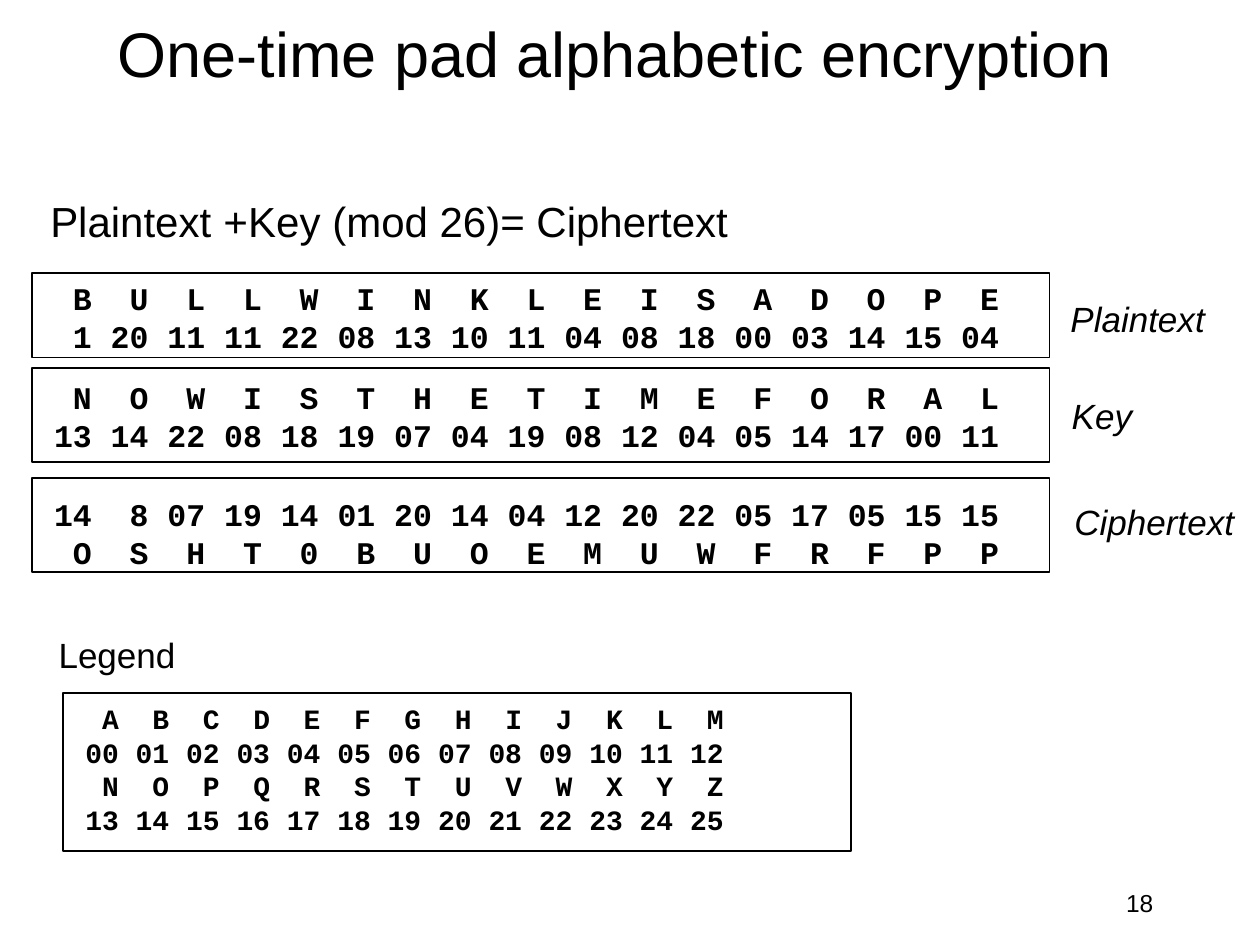
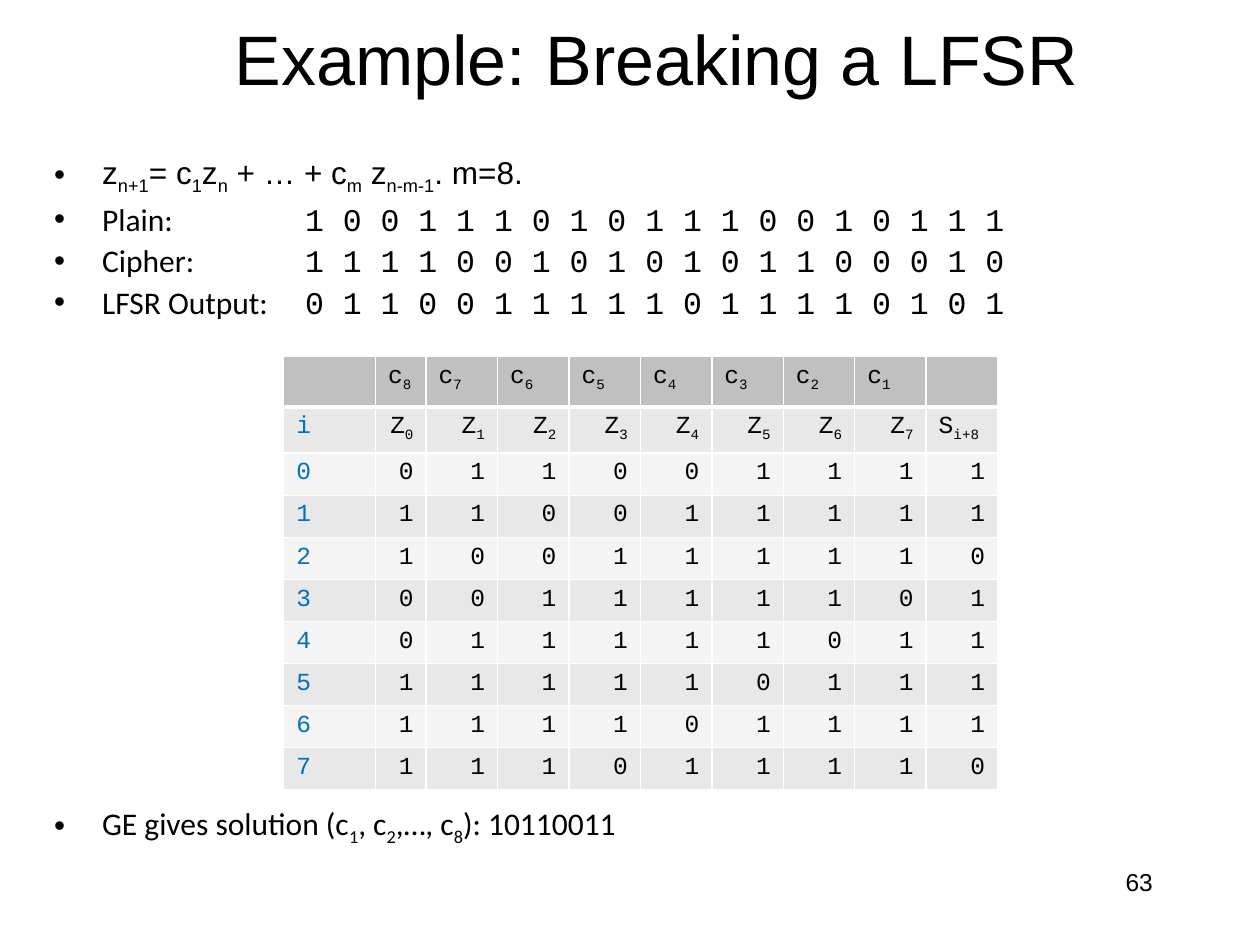
from dataclasses import dataclass
from typing import NamedTuple

from lxml import etree
from pptx import Presentation, util as u
from pptx.dml.color import RGBColor
from pptx.enum import shapes, text
from pptx.oxml import ns

BLACK = RGBColor(0x00, 0x00, 0x00)
WHITE = RGBColor(0xFF, 0xFF, 0xFF)
HEADER_GREY = RGBColor(0xC0, 0xC0, 0xC0)
BAND_GREYS = (RGBColor(0xE8, 0xE8, 0xE8), RGBColor(0xF4, 0xF4, 0xF4))
INDEX_BLUE = RGBColor(0x00, 0x70, 0xC0)
SANS, BODY, MONO = "Arial", "Calibri", "Courier New"
LEFT, CENTER, RIGHT = text.PP_ALIGN.LEFT, text.PP_ALIGN.CENTER, text.PP_ALIGN.RIGHT

MONO_ADVANCE = 0.6 * 2.54 / 72  # cm per point of font size
BULLET_INDENT = 0.97
DIGITS_TAB = 5.06


class Area(NamedTuple):
    """Left, top, width and height in centimetres."""
    left: float
    top: float
    width: float
    height: float

    def lengths(self) -> list[u.Cm]:
        return [u.Cm(value) for value in self]


@dataclass
class Style:
    size: int
    font: str = SANS
    bold: bool = False
    italic: bool = False
    color: RGBColor = BLACK
    align: text.PP_ALIGN = LEFT


@dataclass
class CipherRow:
    label: str
    label_area: Area
    frame: Area
    text_top: float
    lines: tuple[str, str]


LABEL = Style(20, italic=True, align=CENTER)
PAGE_NUMBER = Style(14, align=RIGHT)

CIPHER_ROWS = [
    CipherRow("Plaintext", Area(21.31, 5.87, 3.25, 1.12), Area(0.64, 5.51, 20.52, 1.7), 5.51,
              ("B U L L W I N K L E I S A D O P E",
               "1 20 11 11 22 08 13 10 11 04 08 18 00 03 14 15 04")),
    CipherRow("Key", Area(21.34, 7.82, 1.75, 1.12), Area(0.64, 7.42, 20.52, 1.9), 7.5,
              ("N O W I S T H E T I M E F O R A L",
               "13 14 22 08 18 19 07 04 19 08 12 04 05 14 17 00 11")),
    CipherRow("Ciphertext", Area(21.39, 9.96, 3.76, 1.12), Area(0.64, 9.63, 20.52, 1.9), 9.86,
              ("14 8 07 19 14 01 20 14 04 12 20 22 05 17 05 15 15",
               "O S H T 0 B U O E M U W F R F P P")),
]
LEGEND_LINES = (
    "A B C D E F G H I J K L M",
    "00 01 02 03 04 05 06 07 08 09 10 11 12",
    "N O P Q R S T U V W X Y Z",
    "13 14 15 16 17 18 19 20 21 22 23 24 25",
)

LFSR_OUTPUT = "0 1 1 0 0 1 1 1 1 1 0 1 1 1 1 0 1 0 1"
BIT_STREAMS = {
    "Plain:": "1 0 0 1 1 1 0 1 0 1 1 1 0 0 1 0 1 1 1",
    "Cipher:": "1 1 1 1 0 0 1 0 1 0 1 0 1 1 0 0 0 1 0",
    "LFSR Output:": LFSR_OUTPUT,
}
REGISTER_SIZE = 8
COLUMN_WIDTHS = [1.85, 1.02] + [1.44] * REGISTER_SIZE
ROW_HEIGHTS = [0.66] * 2 + [0.79] * 7 + [0.64]


def apply_style(para, style: Style) -> None:
    para.alignment = style.align
    font = para.font
    font.size, font.name = u.Pt(style.size), style.font
    font.bold, font.italic = style.bold, style.italic
    font.color.rgb = style.color


def add_spans(para, marked: str) -> None:
    """Add text in which every second part between bars is a subscript."""
    for index, part in enumerate(marked.split("|")):
        span = para.add_run()
        span.text = part
        if index % 2:
            span.font._rPr.set("baseline", "-25000")


def set_tabs(para, positions: list[float], align: str) -> None:
    tabs = etree.SubElement(para._p.get_or_add_pPr(), ns.qn("a:tabLst"))
    for position in positions:
        etree.SubElement(tabs, ns.qn("a:tab"), pos=str(u.Cm(position)), algn=align)


def set_bullet(para) -> None:
    props = para._p.get_or_add_pPr()
    props.set("marL", str(u.Cm(BULLET_INDENT)))
    props.set("indent", str(-u.Cm(BULLET_INDENT)))
    etree.SubElement(props, ns.qn("a:buFont"), typeface=SANS)
    etree.SubElement(props, ns.qn("a:buChar"), char="•")


def add_frame(page, area: Area, wrap: bool = True):
    frame = page.shapes.add_textbox(*area.lengths()).text_frame
    frame.word_wrap = wrap
    return frame


def add_label(page, area: Area, words: str, style: Style, wrap: bool = False):
    frame = add_frame(page, area, wrap)
    para = frame.paragraphs[0]
    apply_style(para, style)
    add_spans(para, words)
    return frame


def add_title(page, area: Area, words: str, size: int) -> None:
    frame = add_label(page, area, words, Style(size, align=CENTER), wrap=True)
    frame.vertical_anchor = text.MSO_ANCHOR.MIDDLE


def next_paragraph(frame, index: int):
    return frame.add_paragraph() if index else frame.paragraphs[0]


def add_outline(page, area: Area) -> None:
    box = page.shapes.add_shape(shapes.MSO_SHAPE.RECTANGLE, *area.lengths())
    box.shadow.inherit = False
    box.fill.solid()
    box.fill.fore_color.rgb = WHITE
    box.line.color.rgb = BLACK
    box.line.width = u.Pt(1)


def add_code_lines(page, area: Area, lines: tuple[str, ...], size: int) -> None:
    """Set symbols in right-aligned columns, three characters apart."""
    frame = add_frame(page, area)
    for index, line in enumerate(lines):
        symbols = line.split()
        para = next_paragraph(frame, index)
        stops = [(3 * column + 2) * size * MONO_ADVANCE for column in range(len(symbols))]
        set_tabs(para, stops, "r")
        apply_style(para, Style(size, MONO, bold=True))
        add_spans(para, "".join("\t" + symbol for symbol in symbols))


def set_border(cell, side: str, width: float) -> None:
    line = etree.SubElement(cell._tc.get_or_add_tcPr(), ns.qn(f"a:{side}"), w=str(u.Pt(width)))
    fill = etree.SubElement(line, ns.qn("a:solidFill"))
    etree.SubElement(fill, ns.qn("a:srgbClr"), val=str(WHITE))


def fill_cell(cell, words: str, style: Style, fill: RGBColor, edges: dict[str, float]) -> None:
    for side, width in edges.items():
        set_border(cell, side, width)
    cell.fill.solid()
    cell.fill.fore_color.rgb = fill
    para = cell.text_frame.paragraphs[0]
    apply_style(para, style)
    if words:
        add_spans(para, words)
    else:
        para.add_run().font.size = u.Pt(style.size)


def register_rows() -> list[list[str]]:
    bits = LFSR_OUTPUT.split()
    taps = [f"c|{tap}" for tap in range(REGISTER_SIZE, 0, -1)]
    states = [f"Z|{state}" for state in range(REGISTER_SIZE)]
    windows = [[str(step)] + bits[step:step + REGISTER_SIZE + 1] for step in range(REGISTER_SIZE)]
    return [["", *taps, ""], ["i", *states, "S|i+8"], *windows]


def add_register_table(page) -> None:
    rows = register_rows()
    area = Area(5.72, 7.19, sum(COLUMN_WIDTHS), sum(ROW_HEIGHTS))
    table = page.shapes.add_table(len(rows), len(COLUMN_WIDTHS), *area.lengths()).table
    table.first_row = table.horz_banding = False
    for column, width in zip(table.columns, COLUMN_WIDTHS):
        column.width = u.Cm(width)
    for row, height in zip(table.rows, ROW_HEIGHTS):
        row.height = u.Cm(height)
    for r, row in enumerate(rows):
        fill = BAND_GREYS[(r - 1) % 2] if r else HEADER_GREY
        edges = {"lnL": 1, "lnR": 1, "lnT": 3 if r == 1 else 1, "lnB": 1 if r else 3}
        for c, words in enumerate(row):
            to_left = r == 0 or c == 0 or words.startswith("S")
            style = Style(14, MONO, color=BLACK if c else INDEX_BLUE,
                          align=LEFT if to_left else RIGHT)
            fill_cell(table.cell(r, c), words, style, fill, edges)


def build_one_time_pad(page) -> None:
    add_title(page, Area(1.07, 0, 22.66, 2.11), "One-time pad alphabetic encryption", 36)
    formula = add_label(page, Area(0.43, 3.81, 14.83, 1.27), "Plaintext ", Style(24, align=CENTER))
    para = formula.paragraphs[0]
    plus = para.add_run()
    plus.text, plus.font.name = "+", MONO
    add_spans(para, "Key (mod 26)= Ciphertext")
    for row in CIPHER_ROWS:
        add_outline(page, row.frame)
        add_code_lines(page, Area(0.84, row.text_top, 20.32, 1.8), row.lines, 18)
        add_label(page, row.label_area, row.label, LABEL)
    add_label(page, Area(0.91, 12.65, 2.9, 1.12), "Legend", Style(20, align=CENTER))
    add_outline(page, Area(1.27, 13.97, 15.88, 3.18))
    add_code_lines(page, Area(1.47, 14.02, 14.58, 3.07), LEGEND_LINES, 16)
    add_label(page, Area(21.16, 17.78, 2.34, 1.27), "18", PAGE_NUMBER, wrap=True)


def build_lfsr(page) -> None:
    add_title(page, Area(1.9, 0.2, 22.66, 1.9), "Example: Breaking a LFSR", 40)
    facts = add_frame(page, Area(0.84, 2.97, 24.13, 2.97))
    recurrence = facts.paragraphs[0]
    set_bullet(recurrence)
    apply_style(recurrence, Style(18))
    add_spans(recurrence, "z|n+1|= c|1|z|n| + … + c|m| z|n-m-1|. m=8.")
    for label, bits in BIT_STREAMS.items():
        para = facts.add_paragraph()
        set_bullet(para)
        set_tabs(para, [DIGITS_TAB], "l")
        para.space_before = u.Pt(2)
        apply_style(para, Style(18, BODY))
        add_spans(para, label + "\t")
        digits = para.add_run()
        digits.text, digits.font.name = bits, MONO
    add_register_table(page)
    solution = add_frame(page, Area(0.84, 16.08, 24.13, 1.47)).paragraphs[0]
    set_bullet(solution)
    apply_style(solution, Style(18, BODY))
    add_spans(solution, "GE gives solution (c|1|, c|2|,…, c|8|): 10110011")
    add_label(page, Area(18.21, 17.35, 5.28, 1.27), "63", PAGE_NUMBER, wrap=True)


def main() -> None:
    deck = Presentation()
    deck.slide_width, deck.slide_height = u.Cm(25.4), u.Cm(19.05)
    for build in (build_one_time_pad, build_lfsr):
        build(deck.slides.add_slide(deck.slide_layouts[6]))
    deck.save("out.pptx")


if __name__ == "__main__":
    main()
